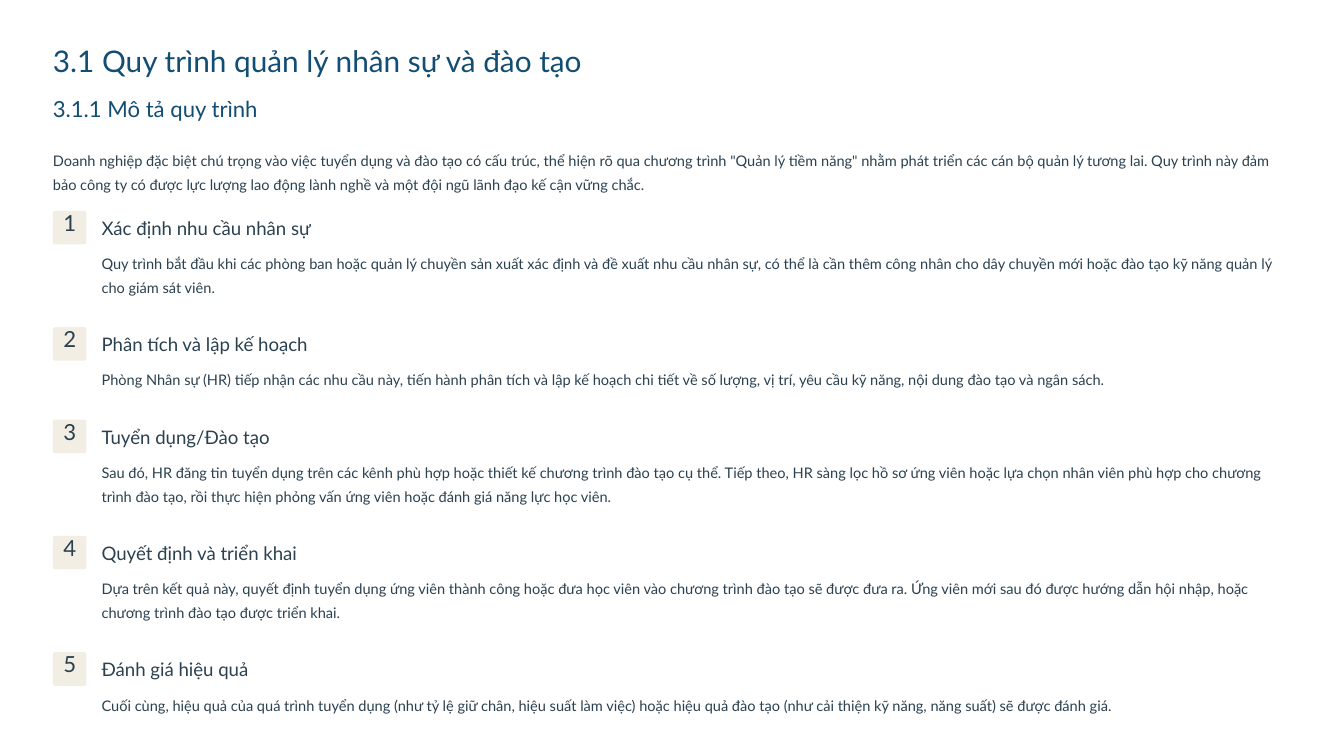
from collections import namedtuple
from dataclasses import dataclass

import pptx
import pptx.dml.color
import pptx.enum.shapes
import pptx.enum.text
import pptx.util

COLUMNS, ROWS = 160, 90
Box = namedtuple("Box", "left top width height")
Style = namedtuple("Style", "size leading color")
Step = namedtuple("Step", "heading detail lines")
ALIGN = pptx.enum.text.PP_ALIGN


@dataclass(frozen=True)
class Theme:
    font: str = "Lato"
    badge: str = "F3EEE3"
    title: Style = Style(25.5, 32, "124E73")
    subtitle: Style = Style(19, 24, "124E73")
    number: Style = Style(19, 19, "2B4150")
    heading: Style = Style(16, 20, "2B4150")
    body: Style = Style(12.5, 20.5, "2B4150")


THEME = Theme()
LINE = 2.85
STEP_BASE = 8.15
BADGE = 4

INTRO = (
    "Doanh nghiệp đặc biệt chú trọng vào việc tuyển dụng và đào tạo có cấu trúc, "
    "thể hiện rõ qua chương trình \"Quản lý tiềm năng\" nhằm phát triển các cán bộ "
    "quản lý tương lai. Quy trình này đảm bảo công ty có được lực lượng lao động "
    "lành nghề và một đội ngũ lãnh đạo kế cận vững chắc."
)

STEPS = [
    Step(
        "Xác định nhu cầu nhân sự",
        "Quy trình bắt đầu khi các phòng ban hoặc quản lý chuyền sản xuất xác định và "
        "đề xuất nhu cầu nhân sự, có thể là cần thêm công nhân cho dây chuyền mới hoặc "
        "đào tạo kỹ năng quản lý cho giám sát viên.",
        2,
    ),
    Step(
        "Phân tích và lập kế hoạch",
        "Phòng Nhân sự (HR) tiếp nhận các nhu cầu này, tiến hành phân tích và lập kế "
        "hoạch chi tiết về số lượng, vị trí, yêu cầu kỹ năng, nội dung đào tạo và ngân sách.",
        1,
    ),
    Step(
        "Tuyển dụng/Đào tạo",
        "Sau đó, HR đăng tin tuyển dụng trên các kênh phù hợp hoặc thiết kế chương trình "
        "đào tạo cụ thể. Tiếp theo, HR sàng lọc hồ sơ ứng viên hoặc lựa chọn nhân viên "
        "phù hợp cho chương trình đào tạo, rồi thực hiện phỏng vấn ứng viên hoặc đánh giá "
        "năng lực học viên.",
        2,
    ),
    Step(
        "Quyết định và triển khai",
        "Dựa trên kết quả này, quyết định tuyển dụng ứng viên thành công hoặc đưa học viên "
        "vào chương trình đào tạo sẽ được đưa ra. Ứng viên mới sau đó được hướng dẫn hội "
        "nhập, hoặc chương trình đào tạo được triển khai.",
        2,
    ),
    Step(
        "Đánh giá hiệu quả",
        "Cuối cùng, hiệu quả của quá trình tuyển dụng (như tỷ lệ giữ chân, hiệu suất làm "
        "việc) hoặc hiệu quả đào tạo (như cải thiện kỹ năng, năng suất) sẽ được đánh giá.",
        1,
    ),
]


def to_emu(deck, box):
    column, row = deck.slide_width / COLUMNS, deck.slide_height / ROWS
    return [
        round(cells * unit)
        for cells, unit in zip(box, (column, row, column, row))
    ]


def write(holder, text, style, align=ALIGN.LEFT, wrap=True):
    frame = holder.text_frame
    frame.margin_left = frame.margin_right = 0
    frame.margin_top = frame.margin_bottom = 0
    frame.word_wrap = wrap
    frame.auto_size = pptx.enum.text.MSO_AUTO_SIZE.NONE
    frame.vertical_anchor = pptx.enum.text.MSO_ANCHOR.TOP
    paragraph = frame.paragraphs[0]
    paragraph.alignment = align
    paragraph.line_spacing = pptx.util.Pt(style.leading)
    run = paragraph.add_run()
    run.text = text
    run.font.name = THEME.font
    run.font.size = pptx.util.Pt(style.size)
    run.font.color.rgb = pptx.dml.color.RGBColor.from_string(style.color)


def add_text(deck, slide, box, text, style, align=ALIGN.LEFT, wrap=True):
    write(slide.shapes.add_textbox(*to_emu(deck, box)), text, style, align, wrap)


def add_header(deck, slide, box):
    title = slide.shapes.title
    title.left, title.top, title.width, title.height = to_emu(
        deck, Box(box.left, box.top, box.width, 4.5)
    )
    write(title, "3.1 Quy trình quản lý nhân sự và đào tạo", THEME.title, wrap=False)
    subtitle = Box(box.left, box.top + 6.3, box.width, 3.4)
    add_text(deck, slide, subtitle, "3.1.1 Mô tả quy trình", THEME.subtitle, wrap=False)
    intro = Box(box.left, box.top + 12.4, box.width, 2 * LINE)
    add_text(deck, slide, intro, INTRO, THEME.body)


def add_step(deck, slide, box, number, step):
    badge = slide.shapes.add_shape(
        pptx.enum.shapes.MSO_SHAPE.ROUNDED_RECTANGLE,
        *to_emu(deck, Box(box.left, box.top, BADGE, BADGE)),
    )
    badge.adjustments[0] = 0.07
    badge.shadow.inherit = False
    badge.fill.solid()
    badge.fill.fore_color.rgb = pptx.dml.color.RGBColor.from_string(THEME.badge)
    badge.line.fill.background()

    number_box = Box(box.left + 0.65, box.top + 0.33, BADGE - 1.3, 3.4)
    add_text(deck, slide, number_box, str(number), THEME.number, ALIGN.CENTER, False)

    indent = 5.8
    left, width = box.left + indent, box.width - indent
    heading_box = Box(left, box.top + 0.6, width, 2.8)
    add_text(deck, slide, heading_box, step.heading, THEME.heading, wrap=False)
    detail_box = Box(left, box.top + 4.5, width, step.lines * LINE)
    add_text(deck, slide, detail_box, step.detail, THEME.body)


def add_steps(deck, slide, box):
    top = box.top
    for number, step in enumerate(STEPS, 1):
        height = STEP_BASE + step.lines * LINE
        add_step(deck, slide, Box(box.left, top, box.width, height), number, step)
        top += height


def main():
    deck = pptx.Presentation()
    deck.slide_width = pptx.util.Inches(16)
    deck.slide_height = pptx.util.Inches(9)
    slide = deck.slides.add_slide(deck.slide_layouts[5])
    add_header(deck, slide, Box(6.3, 4.9, 147.4, 18.2))
    add_steps(deck, slide, Box(6.3, 25.1, 147.4, 60))
    deck.save("out.pptx")


if __name__ == "__main__":
    main()
